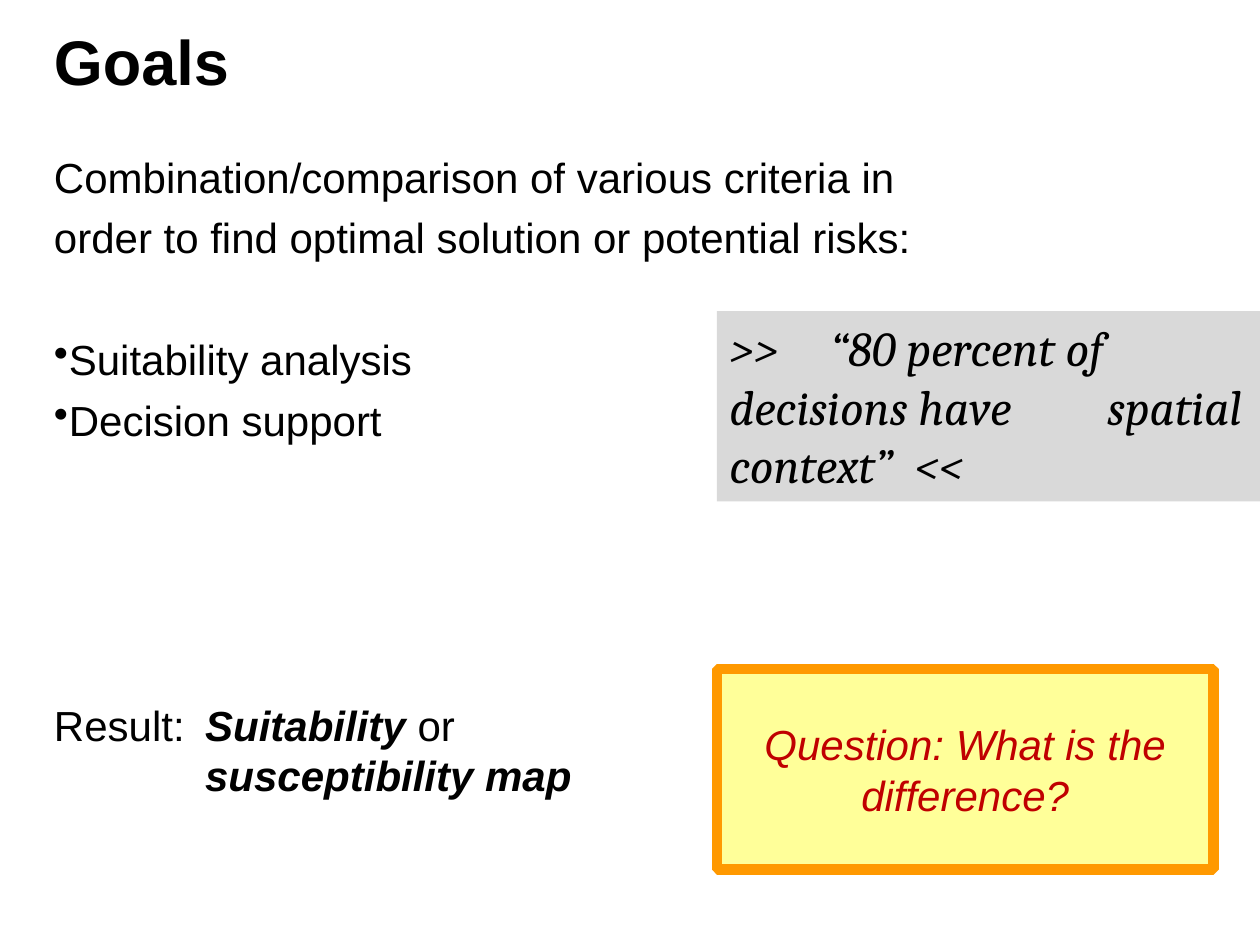
from lxml import etree
from pptx import Presentation
from pptx.dml.color import RGBColor
from pptx.enum import shapes, text
from pptx.oxml.ns import qn
from pptx.util import Inches, Pt

SIZE = 24
LINE = 1.2
GAP = 6
PITCH = SIZE * LINE + GAP


def color(code):
    return RGBColor.from_string(code)


def add_list(para, bullet, tabs):
    props = para._p.get_or_add_pPr()
    if bullet:
        props.set("marL", "0")
        props.set("indent", "0")
        etree.SubElement(props, qn("a:buChar"), char=bullet)
    if tabs:
        stops = etree.SubElement(props, qn("a:tabLst"))
        for tab in tabs:
            etree.SubElement(stops, qn("a:tab"), pos=str(Inches(tab)), algn="l")


def add_text(frame, words, size=SIZE, font="Arial", ink="000000", bold=False,
             italic=False, align=text.PP_ALIGN.LEFT, before=0, bullet=None, tabs=()):
    para = frame.paragraphs[0]
    if para.runs:
        para = frame.add_paragraph()
    add_list(para, bullet, tabs)
    para.alignment = align
    para.line_spacing = Pt(size * LINE)
    para.space_before = Pt(before)
    parts = [(words, bold)] if isinstance(words, str) else words
    for part, strong in parts:
        run = para.add_run()
        run.text = part
        run.font.name = font
        run.font.size = Pt(size)
        run.font.bold = strong
        run.font.italic = italic or strong and len(parts) > 1
        run.font.color.rgb = color(ink)


def add_box(slide, left, top, width, height, anchor=text.MSO_ANCHOR.TOP):
    box = slide.shapes.add_textbox(*map(Inches, (left, top, width, height)))
    box.text_frame.word_wrap = True
    box.text_frame.vertical_anchor = anchor
    return box.text_frame


def add_panel(slide, left, top, width, height, fill, edge=None,
              anchor=text.MSO_ANCHOR.TOP):
    panel = slide.shapes.add_shape(shapes.MSO_SHAPE.RECTANGLE,
                                   *map(Inches, (left, top, width, height)))
    panel.shadow.inherit = False
    panel.fill.solid()
    panel.fill.fore_color.rgb = color(fill)
    if edge:
        panel.line.color.rgb = color(edge)
        panel.line.width = Pt(6)
        etree.SubElement(panel.line._get_or_add_ln(), qn("a:bevel"))
    else:
        panel.line.fill.background()
    panel.text_frame.word_wrap = True
    panel.text_frame.vertical_anchor = anchor
    return panel.text_frame


def add_body(slide):
    body = add_box(slide, 0.33, 1.15, 8.92, 4.96)
    add_text(body, "Combination/comparison of various criteria in")
    add_text(body, "order to find optimal solution or potential risks:", before=GAP)
    add_text(body, "Suitability analysis", before=GAP + PITCH, bullet="•")
    add_text(body, "Decision support", before=GAP, bullet="•")
    add_text(body, [("Result:\t", False), ("Suitability ", True), ("or", False)],
             before=GAP + 4 * PITCH, tabs=[1.2])
    add_text(body, "\tsusceptibility map", bold=True, italic=True, tabs=[1.2])


def main():
    deck = Presentation()
    deck.slide_width, deck.slide_height = Inches(10), Inches(7.5)
    slide = deck.slides.add_slide(deck.slide_layouts[6])
    middle = text.MSO_ANCHOR.MIDDLE

    title = add_box(slide, 0.33, -0.03, 8.6, 1.02, middle)
    add_text(title, "Goals", size=36, bold=True)
    add_body(slide)

    quote = add_panel(slide, 5.69, 2.47, 4.31, 1.51, "D9D9D9")
    add_text(quote, ">>\t“80 percent of \tdecisions have \tspatial context”\t<<",
             size=28, font="Cambria", italic=True, tabs=[0.8, 1.47, 3])

    question = add_panel(slide, 5.69, 5.31, 3.94, 1.59, "FFFF99", "FF9900", middle)
    add_text(question, "Question: What is the difference?", ink="C00000",
             italic=True, align=text.PP_ALIGN.CENTER)

    deck.save("out.pptx")


if __name__ == "__main__":
    main()
